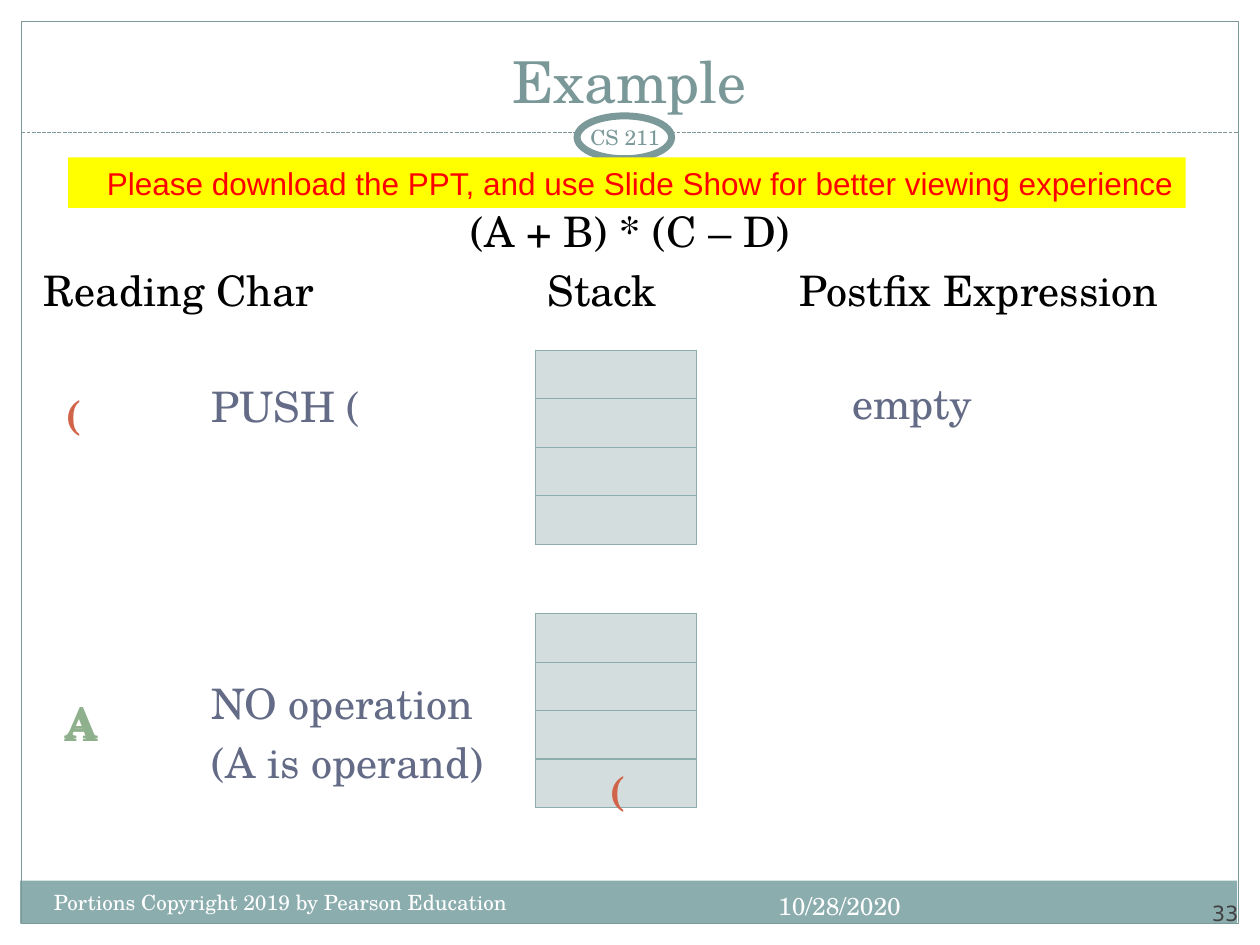
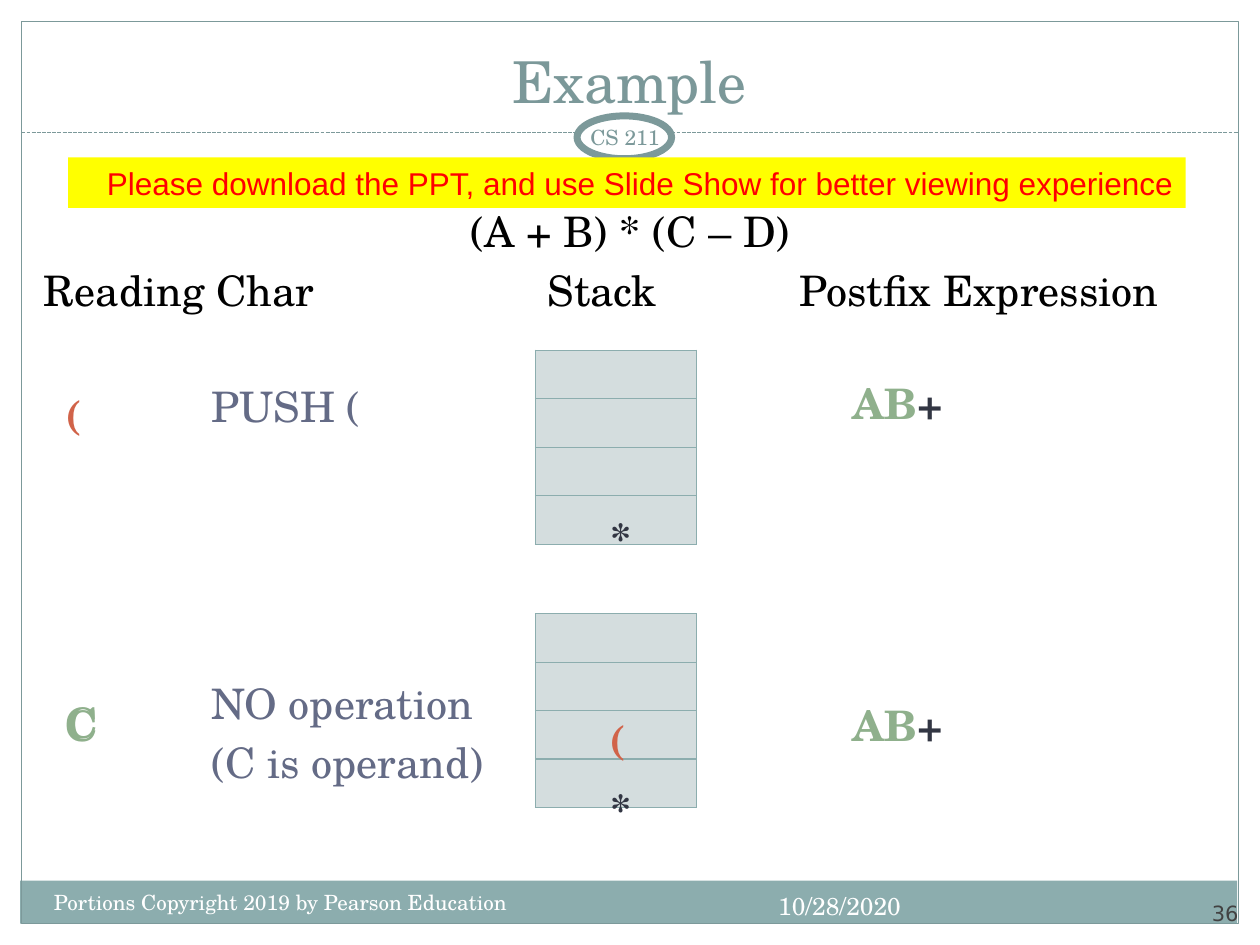
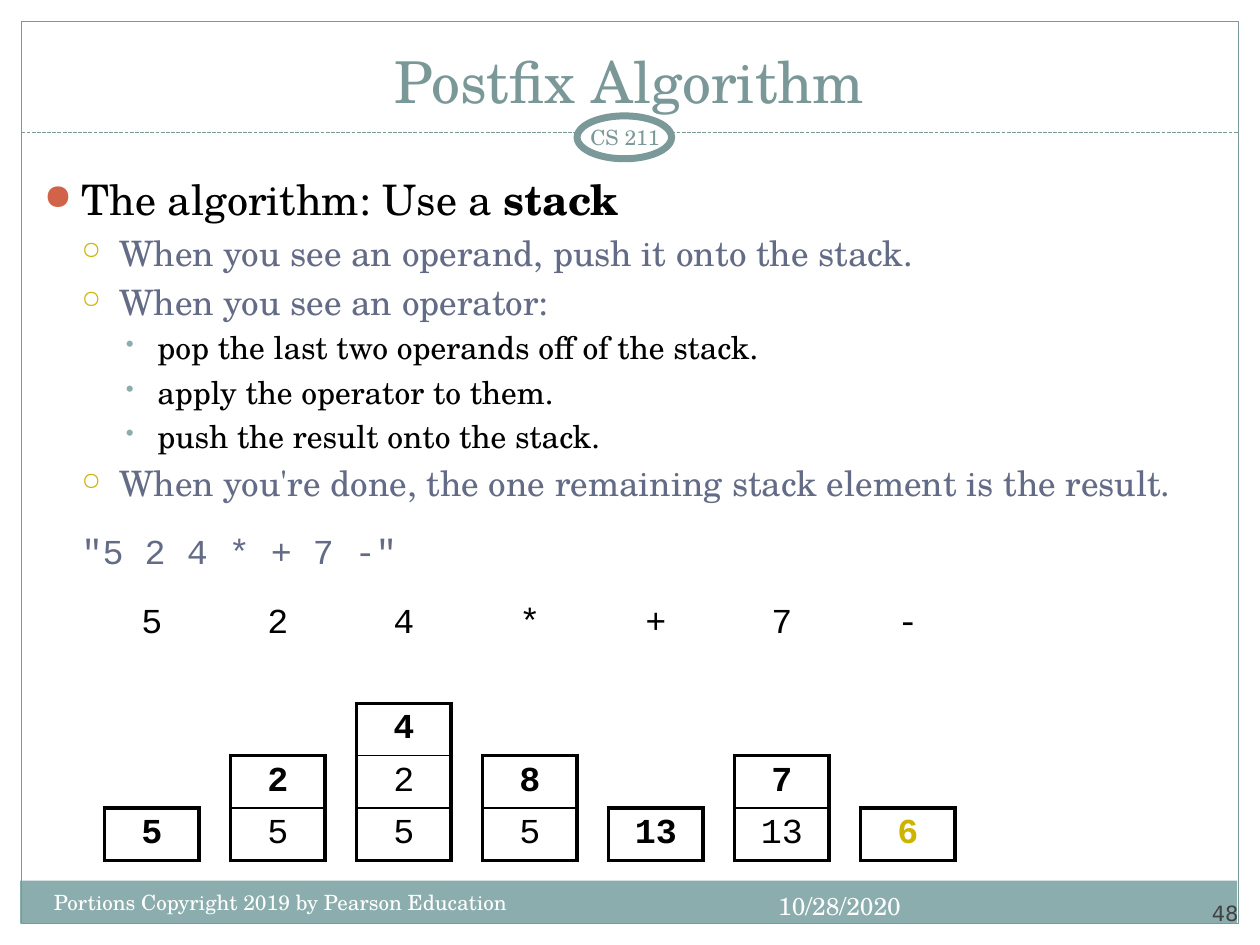
from dataclasses import dataclass
from typing import Optional

from lxml.etree import SubElement
from pptx import Presentation
from pptx.dml.color import RGBColor
from pptx.enum.dml import MSO_LINE
from pptx.enum.shapes import MSO_CONNECTOR, MSO_SHAPE
from pptx.enum.text import MSO_ANCHOR, MSO_AUTO_SIZE, PP_ALIGN
from pptx.oxml.ns import qn
from pptx.presentation import Presentation as Deck
from pptx.shapes.base import BaseShape
from pptx.slide import Slide
from pptx.table import _Cell as Cell, Table
from pptx.text.text import TextFrame, _Paragraph as Paragraph
from pptx.util import Inches, Pt


@dataclass(frozen=True)
class Theme:
    serif: str = "TeX Gyre Schola"
    sans: str = "Arial"
    number_font: str = "DejaVu Sans"
    code: str = "Courier New"
    white: str = "FFFFFF"
    black: str = "000000"
    frame: str = "7C999A"
    title: str = "7B9899"
    band: str = "8CADAE"
    cell: str = "D4DDDE"
    slate: str = "646B86"
    ink: str = "323643"
    green: str = "8FB08C"
    orange: str = "D16349"
    gold: str = "CCB400"
    number: str = "424242"
    yellow: str = "FFFF00"
    red: str = "FF0000"
    title_size: int = 33
    body_size: int = 24
    second_size: int = 20
    third_size: int = 18
    date_size: int = 14
    small_size: int = 12
    thin: float = 0.75
    divider: float = 1
    heavy: float = 2.25
    ring: float = 4


THEME = Theme()


@dataclass(frozen=True)
class Box:
    left: float
    top: float
    width: float
    height: float

    def lengths(self) -> tuple:
        return tuple(Inches(n) for n in (self.left, self.top, self.width, self.height))


@dataclass(frozen=True)
class Span:
    text: str
    color: Optional[str] = None
    bold: Optional[bool] = None


@dataclass(frozen=True)
class Bullet:
    character: str
    color: str
    percent: int


@dataclass(frozen=True)
class Line:
    spans: tuple
    size: int = THEME.body_size
    color: str = THEME.black
    bold: bool = False
    font: str = THEME.serif
    align: PP_ALIGN = PP_ALIGN.LEFT
    level: int = 0
    margin: float = 0
    indent: float = 0
    bullet: Optional[Bullet] = None
    tabs: tuple = ()
    gap: Optional[float] = None


@dataclass(frozen=True)
class Label:
    box: Box
    lines: tuple
    anchor: MSO_ANCHOR = MSO_ANCHOR.TOP
    inset: Optional[float] = None


@dataclass(frozen=True)
class Panel:
    box: Box
    shape: MSO_SHAPE = MSO_SHAPE.RECTANGLE
    fill: Optional[str] = THEME.white
    line: Optional[str] = None
    weight: float = THEME.thin


@dataclass(frozen=True)
class ExampleStep:
    number: str
    operand: str
    labels: tuple


@dataclass(frozen=True)
class StackState:
    token: str
    items: tuple
    top_color: str = THEME.black


def plain(text: str, **style) -> Line:
    return Line((Span(text),), **style)


def mark(left: float, top: float, text: str, color: str) -> Label:
    return Label(Box(left, top, 0.43, 0.55), (plain(text, color=color, bold=True),))


def postfix_so_far(top: float) -> Label:
    spans = (Span("AB", THEME.green), Span("+", THEME.ink))
    return Label(Box(6.67, top, 1.58, 0.63), (Line(spans, bold=True),))


PANELS = (
    Panel(Box(0, 0, 10, 1.52)),
    Panel(Box(0, 0, 0.17, 7.5)),
    Panel(Box(9.83, 0, 0.17, 7.5)),
    Panel(Box(0.16, 6.99, 9.66, 0.34), fill=THEME.band),
    Panel(Box(0.17, 0.17, 9.66, 7.16), fill=None, line=THEME.frame),
)
RINGS = (
    Panel(Box(4.67, 1.05, 0.67, 0.67), MSO_SHAPE.OVAL),
    Panel(Box(4.58, 0.92, 0.75, 0.34), MSO_SHAPE.OVAL, line=THEME.frame, weight=THEME.ring),
)
FOOTERS = (
    Label(Box(5.59, 7.02, 1.66, 0.4), (plain(
        "10/28/2020", size=THEME.date_size, color=THEME.white, align=PP_ALIGN.RIGHT),)),
    Label(Box(0.33, 7.01, 4.08, 0.4), (plain(
        "Portions Copyright 2019 by Pearson Education",
        size=THEME.small_size, color=THEME.white),)),
    Label(Box(4.5, 0.92, 0.92, 0.33), (plain(
        "CS 211", size=THEME.small_size, color=THEME.frame, align=PP_ALIGN.CENTER),),
        MSO_ANCHOR.MIDDLE, 0.05),
)
TITLE_BOX = Box(0.33, 0.25, 9.33, 0.71)

STACK_BOXES = tuple(Box(4.25, top, 1.28, 1.54) for top in (2.78, 4.87))
EXAMPLE_LABELS = (
    Label(Box(0.25, 1.58, 9.5, 1.08), (
        plain("(A + B) * (C – D)", align=PP_ALIGN.CENTER),
        plain("Reading Char\tStack\tPostfix Expression", tabs=(4, 6)))),
    Label(Box(1.58, 2.97, 1.58, 0.63), (plain("PUSH (", color=THEME.slate),)),
    mark(0.42, 3.04, "(", THEME.orange),
)
NOTICE = Panel(Box(0.54, 1.25, 8.87, 0.4), fill=THEME.yellow)
NOTICE_LINE = plain(
    "Please download the PPT, and use Slide Show for better viewing experience",
    size=THEME.third_size, color=THEME.red, font=THEME.sans, align=PP_ALIGN.RIGHT)
EXAMPLE_STEPS = (
    ExampleStep("33", "A", (
        Label(Box(6.67, 2.95, 1.58, 0.63), (plain("empty", color=THEME.slate),)),
        mark(4.74, 6.03, "(", THEME.orange))),
    ExampleStep("36", "C", (
        postfix_so_far(2.95),
        mark(4.74, 5.62, "(", THEME.orange),
        mark(4.75, 4.02, "*", THEME.ink),
        mark(4.75, 6.17, "*", THEME.ink),
        postfix_so_far(5.5))),
)


def second(text: str) -> Line:
    return plain(text, size=THEME.second_size, color=THEME.slate, level=1, margin=0.6,
                 indent=-0.3, bullet=Bullet("○", THEME.gold, 70))


def third(text: str) -> Line:
    return plain(text, size=THEME.third_size, level=2, margin=0.9,
                 indent=-0.25, bullet=Bullet("•", THEME.band, 75))


ALGORITHM = Label(Box(0.25, 1.33, 9.5, 5.58), (
    Line((Span("The algorithm: Use a "), Span("stack", bold=True)), margin=0.3,
         indent=-0.3, bullet=Bullet("●", THEME.orange, 85)),
    second("When you see an operand, push it onto the stack."),
    second("When you see an operator:"),
    third("pop the last two operands off of the stack."),
    third("apply the operator to them."),
    third("push the result onto the stack."),
    second("When you're done, the one remaining stack element is the result."),
    plain('"5 2 4 * + 7 -"', size=THEME.second_size, color=THEME.slate, font=THEME.code,
          level=1, margin=0.6, indent=-0.3, gap=15),
))
STACK_STATES = (
    StackState("5", ("5",)),
    StackState("2", ("2", "5")),
    StackState("4", ("4", "2", "5")),
    StackState("*", ("8", "5")),
    StackState("+", ("13",)),
    StackState("7", ("7", "13")),
    StackState("-", ("6",), THEME.gold),
)
STATE_ROWS = 5


def rgb(color: str) -> RGBColor:
    return RGBColor.from_string(color)


def add_paragraph_marks(paragraph: Paragraph, line: Line) -> None:
    properties = paragraph._p.get_or_add_pPr()
    if line.margin:
        properties.set("marL", str(Inches(line.margin)))
        properties.set("indent", str(Inches(line.indent)))
    if line.bullet:
        color = SubElement(properties, qn("a:buClr"))
        SubElement(color, qn("a:srgbClr"), val=line.bullet.color)
        SubElement(properties, qn("a:buSzPct"), val=str(line.bullet.percent * 1000))
        SubElement(properties, qn("a:buChar"), char=line.bullet.character)
    if line.tabs:
        stops = SubElement(properties, qn("a:tabLst"))
        for position in line.tabs:
            SubElement(stops, qn("a:tab"), pos=str(Inches(position)), algn="l")


def write_line(paragraph: Paragraph, line: Line, first: bool = True) -> None:
    paragraph.alignment = line.align
    paragraph.level = line.level
    if not first:
        paragraph.space_before = Pt(line.size * 0.2 if line.gap is None else line.gap)
    add_paragraph_marks(paragraph, line)
    font = paragraph.font
    font.name, font.size, font.bold = line.font, Pt(line.size), line.bold
    font.color.rgb = rgb(line.color)
    for span in line.spans:
        run = paragraph.add_run()
        run.text = span.text
        if span.color:
            run.font.color.rgb = rgb(span.color)
        if span.bold is not None:
            run.font.bold = span.bold


def write_frame(frame: TextFrame, lines: tuple, anchor: MSO_ANCHOR) -> None:
    frame.word_wrap = True
    frame.auto_size = MSO_AUTO_SIZE.NONE
    frame.vertical_anchor = anchor
    for index, line in enumerate(lines):
        paragraph = frame.add_paragraph() if index else frame.paragraphs[0]
        write_line(paragraph, line, index == 0)


def add_label(slide: Slide, label: Label) -> None:
    frame = slide.shapes.add_textbox(*label.box.lengths()).text_frame
    if label.inset is not None:
        frame.margin_left = frame.margin_right = Inches(label.inset)
        frame.margin_top = frame.margin_bottom = Inches(label.inset)
    write_frame(frame, label.lines, label.anchor)


def add_panel(slide: Slide, panel: Panel) -> BaseShape:
    shape = slide.shapes.add_shape(panel.shape, *panel.box.lengths())
    shape.shadow.inherit = False
    if panel.fill:
        shape.fill.solid()
        shape.fill.fore_color.rgb = rgb(panel.fill)
    else:
        shape.fill.background()
    if panel.line:
        shape.line.color.rgb = rgb(panel.line)
        shape.line.width = Pt(panel.weight)
    else:
        shape.line.fill.background()
    return shape


def add_title_rule(slide: Slide) -> None:
    connector = slide.shapes.add_connector(
        MSO_CONNECTOR.STRAIGHT, Inches(0.17), Inches(1.05), Inches(9.83), Inches(1.05))
    connector.line.color.rgb = rgb(THEME.frame)
    connector.line.width = Pt(THEME.thin)
    connector.line.dash_style = MSO_LINE.SQUARE_DOT
    SubElement(connector.element.spPr, qn("a:effectLst"))


def add_base_slide(presentation: Deck, title: str, number: str) -> Slide:
    slide = presentation.slides.add_slide(presentation.slide_layouts[5])
    for panel in PANELS:
        add_panel(slide, panel)
    add_title_rule(slide)
    for ring in RINGS:
        add_panel(slide, ring)
    shape = slide.shapes.title
    shape.left, shape.top, shape.width, shape.height = TITLE_BOX.lengths()
    title_line = plain(title, size=THEME.title_size, color=THEME.title, align=PP_ALIGN.CENTER)
    write_frame(shape.text_frame, (title_line,), MSO_ANCHOR.BOTTOM)
    shape.element.getparent().append(shape.element)
    number_line = plain(number, size=THEME.small_size, color=THEME.number,
                        font=THEME.number_font, align=PP_ALIGN.RIGHT)
    add_label(slide, Label(Box(9, 6.95, 0.83, 0.4), (number_line,), MSO_ANCHOR.BOTTOM, 0))
    for footer in FOOTERS:
        add_label(slide, footer)
    return slide


def add_column_table(slide: Slide, box: Box, rows: int) -> Table:
    table = slide.shapes.add_table(rows, 1, *box.lengths()).table
    table.first_row = table.horz_banding = False
    return table


def set_borders(cell: Cell, color: str, side: float, top: float, bottom: float) -> None:
    properties = cell._tc.get_or_add_tcPr()
    for name, weight in (("lnL", side), ("lnR", side), ("lnT", top), ("lnB", bottom)):
        line = SubElement(properties, qn(f"a:{name}"), w=str(Pt(weight)))
        if weight:
            fill = SubElement(line, qn("a:solidFill"))
            SubElement(fill, qn("a:srgbClr"), val=color)
        else:
            SubElement(line, qn("a:noFill"))


def add_empty_stack(slide: Slide, box: Box) -> None:
    table = add_column_table(slide, box, 4)
    for cell in table.iter_cells():
        cell.margin_top = cell.margin_bottom = Inches(0.02)
        set_borders(cell, THEME.band, THEME.thin, THEME.thin, THEME.thin)
        cell.fill.solid()
        cell.fill.fore_color.rgb = rgb(THEME.cell)


def add_stack_state(slide: Slide, state: StackState, column: int) -> None:
    table = add_column_table(slide, Box(0.83 + column, 4.75, 0.75, 2.08), STATE_ROWS)
    top_row = STATE_ROWS - len(state.items)
    edges = [0 if row < top_row else THEME.divider for row in range(STATE_ROWS + 1)]
    edges[top_row] = edges[STATE_ROWS] = THEME.heavy
    texts = (state.token,) + ("",) * (top_row - 1) + state.items
    for row, (cell, text) in enumerate(zip(table.iter_cells(), texts)):
        side = THEME.heavy if row >= top_row else 0
        set_borders(cell, THEME.black, side, edges[row], edges[row + 1])
        cell.fill.background()
        if text:
            is_top = row == top_row
            write_line(cell.text_frame.paragraphs[0], plain(
                text, size=THEME.second_size, font=THEME.code, bold=is_top,
                color=state.top_color if is_top else THEME.black, align=PP_ALIGN.CENTER))


def add_example_slide(presentation: Deck, step: ExampleStep) -> None:
    slide = add_base_slide(presentation, "Example", step.number)
    for box in STACK_BOXES:
        add_empty_stack(slide, box)
    operation = Label(Box(1.58, 5.33, 2.67, 1.08), (
        plain("NO operation", color=THEME.slate),
        plain(f"({step.operand} is operand)", color=THEME.slate)))
    operands = tuple(mark(0.42, top, step.operand, THEME.green) for top in (5.48, 5.5))
    for label in EXAMPLE_LABELS + (operation,) + operands + step.labels:
        add_label(slide, label)
    notice = add_panel(slide, NOTICE)
    write_frame(notice.text_frame, (NOTICE_LINE,), MSO_ANCHOR.TOP)


def add_algorithm_slide(presentation: Deck) -> None:
    slide = add_base_slide(presentation, "Postfix Algorithm", "48")
    add_label(slide, ALGORITHM)
    for column, state in enumerate(STACK_STATES):
        add_stack_state(slide, state, column)


def main() -> None:
    presentation = Presentation()
    presentation.slide_width, presentation.slide_height = Inches(10), Inches(7.5)
    for step in EXAMPLE_STEPS:
        add_example_slide(presentation, step)
    add_algorithm_slide(presentation)
    presentation.save("out.pptx")


if __name__ == "__main__":
    main()
